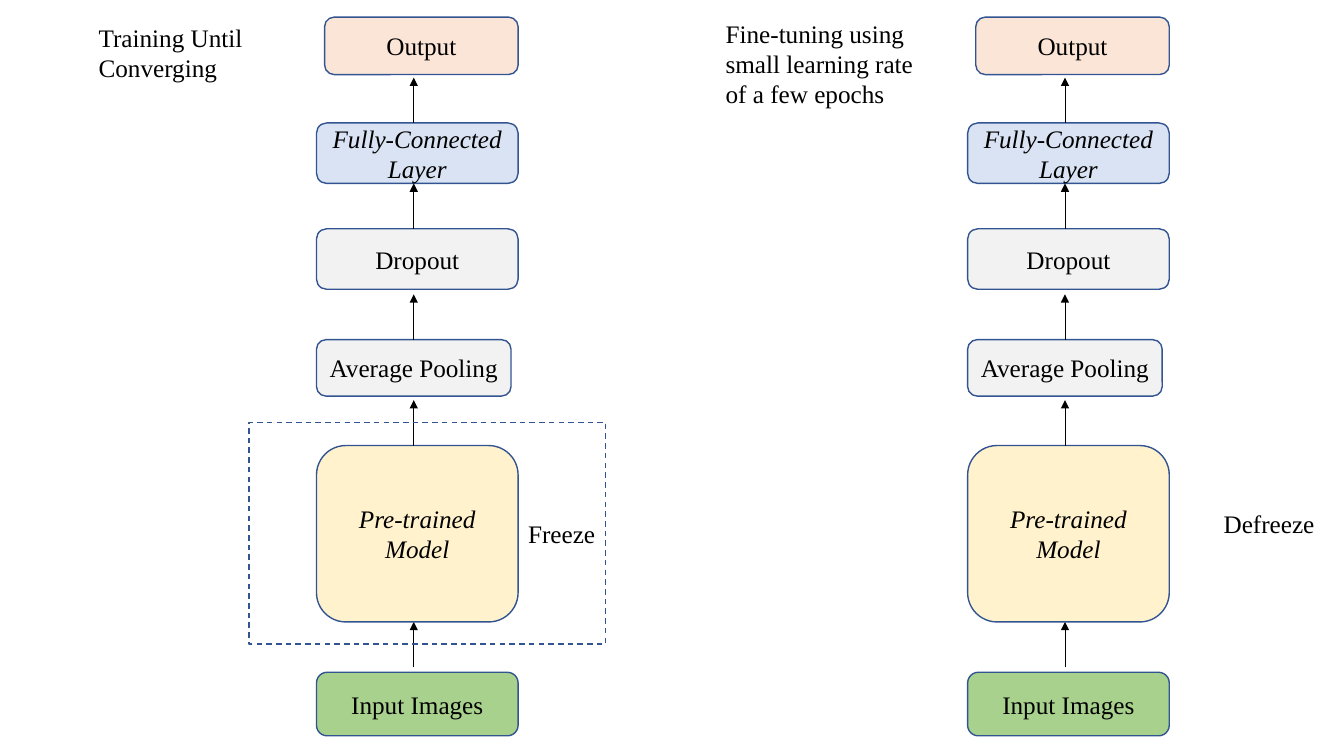
"""Build a slide comparing frozen training with fine-tuning of a network."""
from dataclasses import dataclass

from lxml import etree
from pptx import Presentation
from pptx.dml.color import RGBColor
from pptx.enum.dml import MSO_LINE
from pptx.enum.shapes import MSO_CONNECTOR, MSO_SHAPE
from pptx.enum.text import MSO_ANCHOR, MSO_AUTO_SIZE, PP_ALIGN
from pptx.oxml.ns import qn
from pptx.shapes.autoshape import Shape
from pptx.shapes.connector import Connector
from pptx.slide import Slide
from pptx.text.text import TextFrame
from pptx.util import Inches, Length, Pt

ROUNDED, RECTANGLE = MSO_SHAPE.ROUNDED_RECTANGLE, MSO_SHAPE.RECTANGLE
STRAIGHT = MSO_CONNECTOR.STRAIGHT
DASH = MSO_LINE.DASH
MIDDLE, TOP = MSO_ANCHOR.MIDDLE, MSO_ANCHOR.TOP
CENTER, LEFT = PP_ALIGN.CENTER, PP_ALIGN.LEFT
GROW = MSO_AUTO_SIZE.SHAPE_TO_FIT_TEXT

UNIT = 0.1
COLUMNS, ROWS = 133.33, 75
FONT = "Times New Roman"
OUTLINE, BLACK = "325491", "000000"
ARROW_COLUMN, ARROW_RISE = 9.65, 4.5
TOP_SIDE = 0


@dataclass(frozen=True)
class Layer:
    """A box of the network, placed relative to the left edge of its stack."""

    text: str
    row: float
    height: float
    fill: str
    column: float = 0
    width: float = 20
    italic: bool = False
    arrow_gap: float = 0
    arrow: bool = True
    joined: bool = False


@dataclass(frozen=True)
class Label:
    """A free text with one string for each paragraph."""

    lines: tuple[str, ...]
    column: float
    row: float
    width: float
    height: float
    wrap: bool = True


LAYERS = (
    Layer("Input Images", 66.7, 6.3, "A9D18E", arrow_gap=0.5),
    Layer("Pre-trained Model", 44.2, 17.5, "FFF2CC", italic=True),
    Layer("Average Pooling", 33.7, 5.6, "F2F2F2", width=19.3, joined=True),
    Layer("Dropout", 22.7, 6, "F2F2F2"),
    Layer("Fully-Connected Layer", 12.2, 6, "DAE3F3", italic=True),
    Layer("Output", 1.7, 5.7, "FBE5D6", column=0.8, width=19.2, arrow=False),
)
STACK_COLUMNS = (31.4, 96)
FREEZE_FRAME = (24.7, 41.9, 35.4, 22)
LABELS = (
    Label(("Freeze",), 51.4, 50.9, 8.8, 4, wrap=False),
    Label(("Defreeze",), 120.4, 49.9, 11.1, 4, wrap=False),
    Label(("Training Until Converging",), 8.8, 1.7, 22.6, 7.1),
    Label(("Fine-tuning using", "small learning rate", "of a few epochs"),
          71, 1.3, 24.1, 10.1),
)


def grid(*cells: float) -> list[Length]:
    """Turn counts of grid columns or rows into lengths."""
    return [Inches(cell * UNIT) for cell in cells]


def color(value: str) -> RGBColor:
    """Turn a hex string into a colour."""
    return RGBColor.from_string(value)


def write(frame: TextFrame, *lines: str, italic: bool = False,
          align: PP_ALIGN = LEFT, anchor: MSO_ANCHOR = TOP) -> None:
    """Write one paragraph for each line in the slide's text format."""
    frame.vertical_anchor = anchor
    for index, line in enumerate(lines):
        para = frame.add_paragraph() if index else frame.paragraphs[0]
        para.alignment = align
        span = para.add_run()
        span.text = line
        span.font.name = FONT
        span.font.size = Pt(18)
        span.font.italic = italic
        span.font.color.rgb = color(BLACK)


def add_box(page: Slide, kind: MSO_SHAPE, *place: float,
            fill: str | None = None) -> Shape:
    """Add an outlined box, empty inside unless a fill is given."""
    box = page.shapes.add_shape(kind, *grid(*place))
    box.shadow.inherit = False
    box.line.color.rgb = color(OUTLINE)
    box.line.width = Pt(1)
    if fill:
        box.fill.solid()
        box.fill.fore_color.rgb = color(fill)
    else:
        box.fill.background()
    return box


def add_arrow(page: Slide, column: float, row: float) -> Connector:
    """Add an arrow that rises from the given point."""
    ends = grid(column, row, column, row - ARROW_RISE)
    arrow = page.shapes.add_connector(STRAIGHT, *ends)
    arrow.line.color.rgb = color(BLACK)
    arrow.line.width = Pt(0.5)
    head = etree.SubElement(arrow.line._get_or_add_ln(), qn("a:tailEnd"))
    head.set("type", "triangle")
    etree.SubElement(arrow._element.spPr, qn("a:effectLst"))
    return arrow


def add_stack(page: Slide, left: float) -> None:
    """Add every layer of the network with the arrows between them."""
    for layer in LAYERS:
        box = add_box(page, ROUNDED, left + layer.column, layer.row,
                      layer.width, layer.height, fill=layer.fill)
        write(box.text_frame, layer.text, italic=layer.italic,
              align=CENTER, anchor=MIDDLE)
        if layer.arrow:
            arrow = add_arrow(page, left + ARROW_COLUMN,
                              layer.row - layer.arrow_gap)
            if layer.joined:
                arrow.begin_connect(box, TOP_SIDE)


def add_label(page: Slide, label: Label) -> None:
    """Add a free text box."""
    box = page.shapes.add_textbox(
        *grid(label.column, label.row, label.width, label.height))
    box.text_frame.word_wrap = label.wrap
    box.text_frame.auto_size = GROW
    write(box.text_frame, *label.lines)


def main() -> None:
    """Build and save the deck."""
    deck = Presentation()
    deck.slide_width, deck.slide_height = grid(COLUMNS, ROWS)
    page = deck.slides.add_slide(deck.slide_layouts[6])
    for left in STACK_COLUMNS:
        add_stack(page, left)
    frame = add_box(page, RECTANGLE, *FREEZE_FRAME)
    frame.line.dash_style = DASH
    for label in LABELS:
        add_label(page, label)
    deck.save("out.pptx")


if __name__ == "__main__":
    main()
